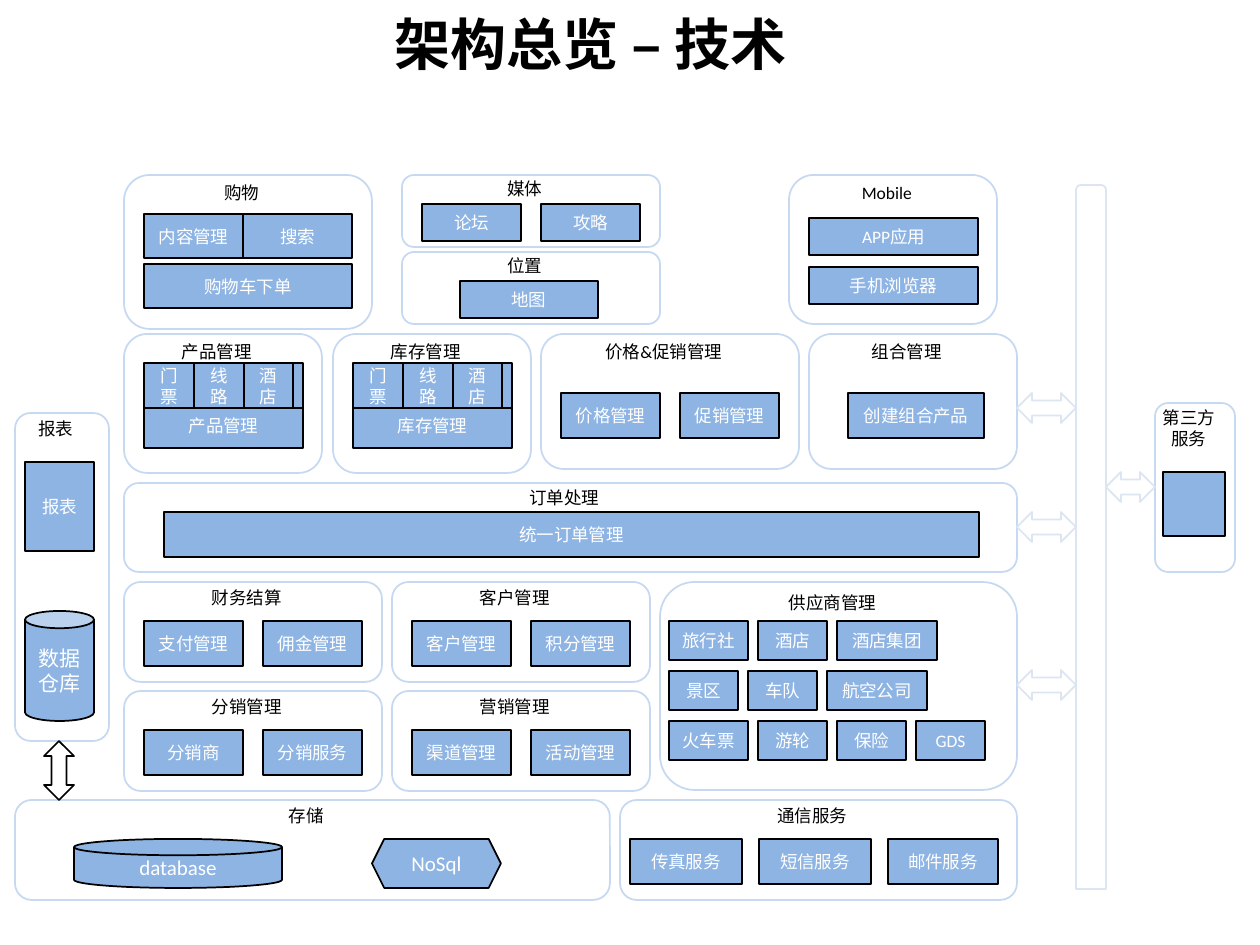
from pptx import Presentation
from pptx.dml.color import RGBColor
from pptx.enum.shapes import MSO_SHAPE
from pptx.enum.text import MSO_ANCHOR, PP_ALIGN
from pptx.util import Emu, Pt

RECT, ROUND = MSO_SHAPE.RECTANGLE, MSO_SHAPE.ROUNDED_RECTANGLE
BAR, CAN, HEX = MSO_SHAPE.ROUND_2_SAME_RECTANGLE, MSO_SHAPE.CAN, MSO_SHAPE.HEXAGON
DISK = MSO_SHAPE.FLOWCHART_MAGNETIC_DISK
ACROSS, UPDOWN = MSO_SHAPE.LEFT_RIGHT_ARROW, MSO_SHAPE.UP_DOWN_ARROW
LEFT, CENTER = PP_ALIGN.LEFT, PP_ALIGN.CENTER
TOP, MIDDLE = MSO_ANCHOR.TOP, MSO_ANCHOR.MIDDLE
COLORS = {"white": "FFFFFF", "black": "000000", "blue": "8EB4E3",
          "edge": "C6D9F1", "pale": "DCE6F2"}
FONT = "Calibri"


def px(n):
    return Emu(round(n * 914400 / 126))


def tint(name):
    return RGBColor.from_string(COLORS[name])


def write(frame, text, size=10, color="white", bold=False, align=CENTER, anchor=MIDDLE):
    frame.word_wrap = True
    frame.vertical_anchor = anchor
    para = frame.paragraphs[0]
    para.alignment = align
    run = para.add_run()
    run.text = text
    font = run.font
    font.name, font.size, font.bold = FONT, Pt(size), bold
    font.color.rgb = tint(color)


class Deck:
    """Draws the styled parts of the architecture map on one slide."""

    def __init__(self):
        self.file = Presentation()
        self.file.slide_width, self.file.slide_height = px(1260), px(945)
        self.slide = self.file.slides.add_slide(self.file.slide_layouts[6])

    def title(self, text, x, y, w, h):
        box = self.slide.shapes.add_textbox(px(x), px(y), px(w), px(h))
        write(box.text_frame, text, size=32, color="black", bold=True, align=LEFT)

    def shape(self, kind, x, y, w, h, fill="white", line="pale"):
        item = self.slide.shapes.add_shape(kind, px(x), px(y), px(w), px(h))
        item.shadow.inherit = False
        item.fill.solid()
        item.fill.fore_color.rgb = tint(fill)
        item.line.color.rgb = tint(line)
        item.line.width = Pt(1)
        return item

    def panel(self, text, x, y, w, h):
        frame = self.shape(ROUND, x, y, w, h, line="edge").text_frame
        frame.margin_left = frame.margin_top = 0
        write(frame, text, color="black", anchor=TOP)

    def box(self, text, x, y, w, h, kind=RECT, size=10):
        item = self.shape(kind, x, y, w, h, fill="blue", line="black")
        if text:
            write(item.text_frame, text, size=size)

    def row(self, texts, x, y, widths, h, gap=20):
        for text, w in zip(texts, widths):
            self.box(text, x, y, w, h)
            x += w + gap


deck = Deck()
deck.title("架构总览 – 技术", 382, 0, 878, 86)

deck.panel("购物", 124, 175, 248, 154)
deck.row(["内容管理", "搜索"], 144, 214, [99, 109], 44, gap=0)
deck.box("购物车下单", 144, 264, 208, 44)
deck.panel("媒体", 402, 175, 258, 72)
deck.row(["论坛", "攻略"], 422, 204, [99, 99], 37)
deck.panel("位置", 402, 252, 258, 72)
deck.box("地图", 460, 281, 138, 37)
deck.panel("Mobile", 789, 175, 208, 149)
for y, text in [(218, "APP应用"), (267, "手机浏览器")]:
    deck.box(text, 809, y, 169, 37)

for x, text in [(124, "产品管理"), (333, "库存管理")]:
    deck.panel(text, x, 334, 198, 139)
    deck.box(text, x + 20, 403, 159, 45)
    deck.row(["门票", "线路", "酒店", ""], x + 20, 363, [50, 50, 49, 10], 45, gap=0)
deck.panel("价格&促销管理", 541, 334, 258, 135)
deck.row(["价格管理", "促销管理"], 561, 393, [99, 99], 45)
deck.panel("组合管理", 809, 334, 208, 135)
deck.box("创建组合产品", 848, 393, 136, 45)

deck.panel("订单处理", 124, 483, 893, 89)
deck.box("统一订单管理", 164, 512, 815, 45)

PAIRS = [
    (124, 582, "财务结算", ["支付管理", "佣金管理"]),
    (392, 582, "客户管理", ["客户管理", "积分管理"]),
    (124, 691, "分销管理", ["分销商", "分销服务"]),
    (392, 691, "营销管理", ["渠道管理", "活动管理"]),
]
for x, y, text, parts in PAIRS:
    deck.panel(text, x, y, 258, 100)
    deck.row(parts, x + 20, y + 39, [99, 99], 45)

deck.panel("供应商管理", 660, 582, 357, 208)
SUPPLY = [
    (["旅行社", "酒店", "酒店集团"], [79, 69, 100]),
    (["景区", "车队", "航空公司"], [69, 69, 100]),
    (["火车票", "游轮", "保险", "GDS"], [79, 69, 69, 69]),
]
for i, (texts, widths) in enumerate(SUPPLY):
    deck.row(texts, 669, 621 + 50 * i, widths, 39, gap=10)

deck.panel("存储", 15, 800, 595, 100)
deck.box("database", 74, 839, 208, 49, kind=DISK, size=12)
deck.box("NoSql", 372, 839, 129, 49, kind=HEX, size=12)
deck.panel("通信服务", 620, 800, 397, 100)
deck.row(["传真服务", "短信服务", "邮件服务"], 630, 839, [112, 112, 110], 45, gap=17)

deck.panel("报表", 15, 413, 94, 328)
deck.box("报表", 25, 462, 69, 89)
deck.box("数据仓库", 25, 611, 69, 110, kind=CAN, size=12)
deck.shape(UPDOWN, 44, 741, 30, 59, line="black")

deck.shape(BAR, 1076, 185, 30, 704)
for y in (393, 512, 670):
    deck.shape(ACROSS, 1017, y, 59, 30)
deck.panel("第三方服务", 1155, 403, 80, 169)
deck.box("", 1163, 472, 62, 64)
deck.shape(ACROSS, 1106, 472, 49, 30)

deck.file.save("out.pptx")
